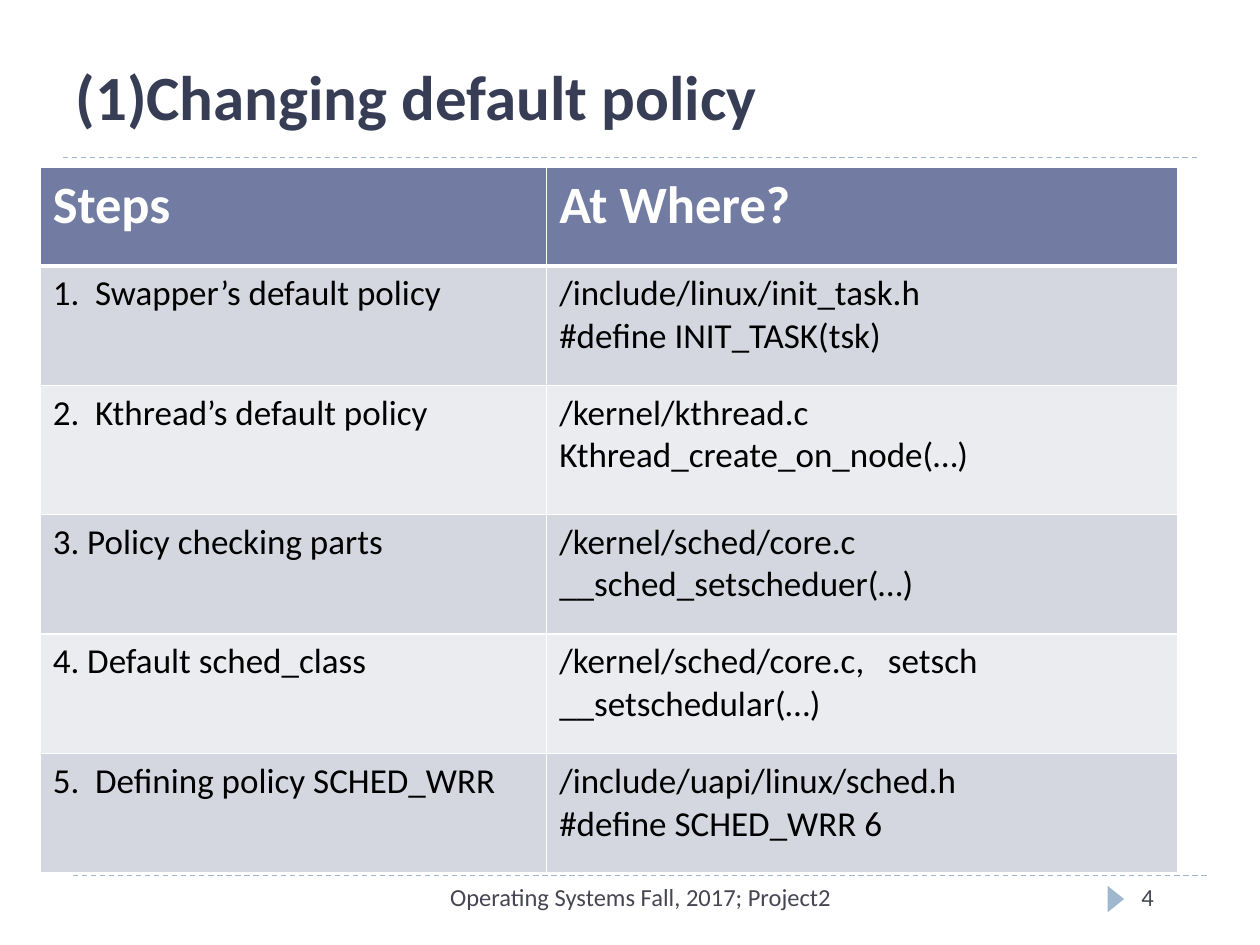
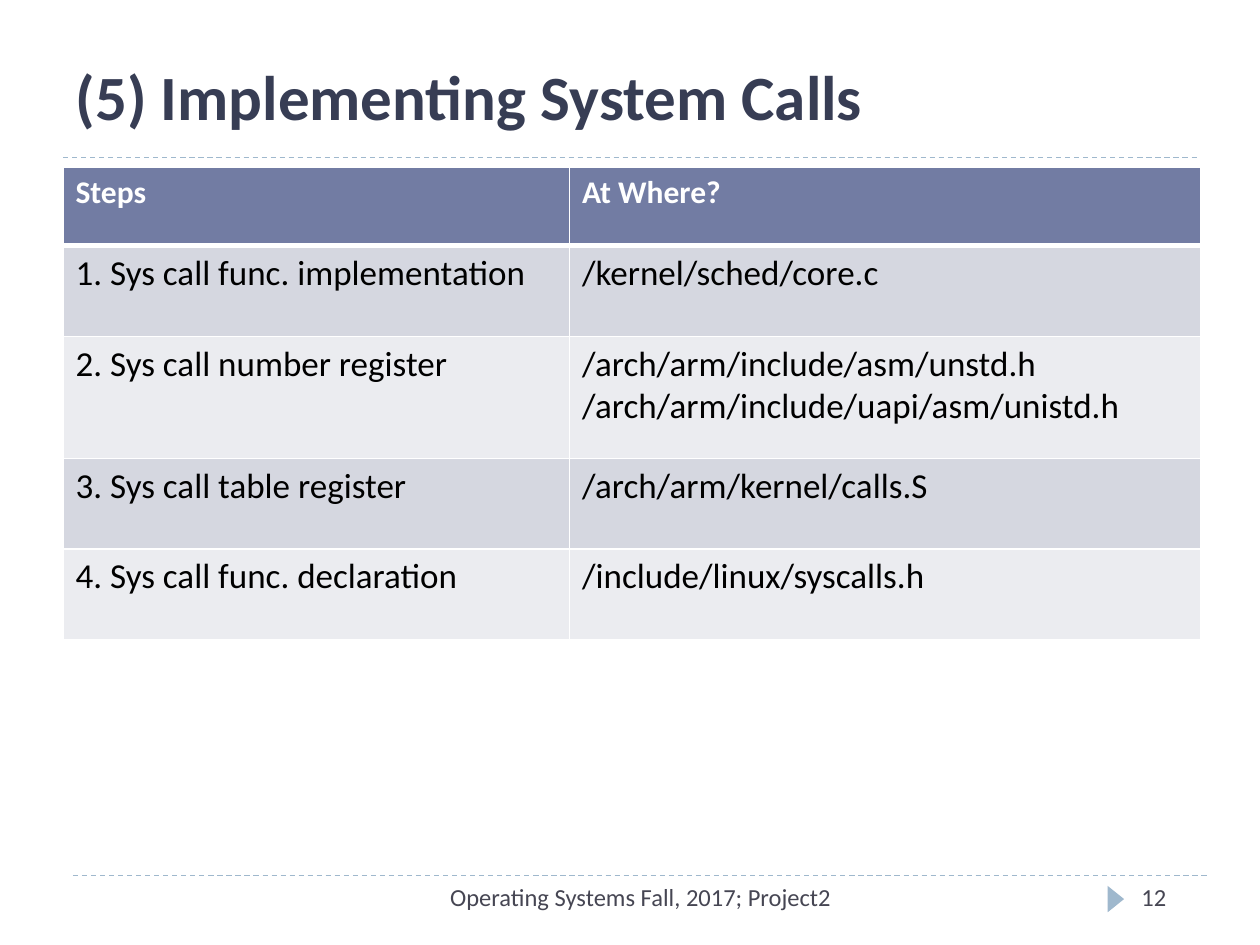
from dataclasses import dataclass

from lxml.etree import SubElement
from pptx import Presentation
from pptx.dml.color import RGBColor
from pptx.enum.dml import MSO_LINE
from pptx.enum.shapes import MSO_CONNECTOR, MSO_SHAPE
from pptx.enum.text import MSO_ANCHOR, MSO_AUTO_SIZE, PP_ALIGN
from pptx.oxml.ns import qn
from pptx.slide import Slide
from pptx.table import _Cell
from pptx.text.text import TextFrame
from pptx.util import Cm, Pt

HUES = {
    "title": "373D54",
    "foot": "464653",
    "rule": "9FB8CD",
    "head": "727CA3",
    "odd": "D5D7E0",
    "even": "EBECF0",
    "white": "FFFFFF",
    "black": "000000",
}
FONT = "Calibri"
FOOTER = "Operating Systems Fall, 2017; Project2"
HEADS = ("Steps", "At Where?")
WIDTHS = (10.21, 12.73)
TOP = 3.38


@dataclass(frozen=True)
class Style:
    size: int
    hue: str
    bold: bool = False
    align: PP_ALIGN = PP_ALIGN.LEFT


@dataclass(frozen=True)
class Box:
    left: float
    top: float
    width: float
    height: float

    def place(self) -> tuple[Cm, Cm, Cm, Cm]:
        return Cm(self.left), Cm(self.top), Cm(self.width), Cm(self.height)


@dataclass(frozen=True)
class Step:
    task: str
    where: tuple[str, ...]
    height: float


@dataclass(frozen=True)
class Page:
    title: str
    number: int
    left: float
    head_size: int
    head_height: float
    steps: tuple[Step, ...]


TITLE = Style(36, "title", True)
NOTE = Style(14, "foot")
NOTE_MID = Style(14, "foot", align=PP_ALIGN.CENTER)
BODY = Style(20, "black")
RULES = ((1.27, 3.18), (1.47, 17.65))
RULE_WIDTH = 22.86

PAGES = (
    Page("(1)Changing default policy", 4, 0.81, 30, 1.98, (
        Step("1.  Swapper’s default policy",
             ("/include/linux/init_task.h", "#define INIT_TASK(tsk)"), 2.41),
        Step("2.  Kthread’s default policy",
             ("/kernel/kthread.c", "Kthread_create_on_node(…)"), 2.6),
        Step("3. Policy checking parts",
             ("/kernel/sched/core.c", "__sched_setscheduer(…)"), 2.41),
        Step("4. Default sched_class",
             ("/kernel/sched/core.c,   setsch", "__setschedular(…)"), 2.41),
        Step("5.  Defining policy SCHED_WRR",
             ("/include/uapi/linux/sched.h", "#define SCHED_WRR 6"), 2.41),
    )),
    Page("(5) Implementing System Calls", 12, 1.27, 18, 1.57, (
        Step("1. Sys call func. implementation", ("/kernel/sched/core.c",), 1.83),
        Step("2. Sys call number register",
             ("/arch/arm/include/asm/unstd.h", "/arch/arm/include/uapi/asm/unistd.h"), 2.46),
        Step("3. Sys call table register", ("/arch/arm/kernel/calls.S",), 1.83),
        Step("4. Sys call func. declaration", ("/include/linux/syscalls.h",), 1.83),
    )),
)


def color(hue: str) -> RGBColor:
    return RGBColor.from_string(HUES[hue])


def write(frame: TextFrame, lines: tuple[str, ...], style: Style) -> None:
    for i, line in enumerate(lines):
        para = frame.add_paragraph() if i else frame.paragraphs[0]
        para.alignment = style.align
        run = para.add_run()
        run.text = line
        font = run.font
        font.name, font.size, font.bold = FONT, Pt(style.size), style.bold
        font.color.rgb = color(style.hue)


def add_text(slide: Slide, box: Box, text: str, style: Style) -> None:
    frame = slide.shapes.add_textbox(*box.place()).text_frame
    frame.word_wrap = True
    write(frame, (text,), style)


def add_title(slide: Slide, text: str) -> None:
    title = slide.shapes.title
    title.left, title.top, title.width, title.height = Box(1.27, 1.02, 22.86, 1.8).place()
    frame = title.text_frame
    frame.auto_size = MSO_AUTO_SIZE.NONE
    frame.vertical_anchor = MSO_ANCHOR.BOTTOM
    write(frame, (text,), TITLE)


def add_rule(slide: Slide, left: float, top: float) -> None:
    rule = slide.shapes.add_connector(
        MSO_CONNECTOR.STRAIGHT, Cm(left), Cm(top), Cm(left + RULE_WIDTH), Cm(top))
    rule.line.color.rgb = color("rule")
    rule.line.width = Pt(0.75)
    rule.line.dash_style = MSO_LINE.DASH
    SubElement(rule._element.spPr, qn("a:effectLst"))


def add_frame(slide: Slide, number: int) -> None:
    for left, top in RULES:
        add_rule(slide, left, top)
    mark = slide.shapes.add_shape(
        MSO_SHAPE.ISOSCELES_TRIANGLE, *Box(22.23, 17.96, 0.53, 0.33).place())
    mark.rotation = 90
    mark.shadow.inherit = False
    mark.fill.solid()
    mark.fill.fore_color.rgb = color("rule")
    mark.line.fill.background()
    add_text(slide, Box(8.05, 17.65, 9.73, 1.02), FOOTER, NOTE_MID)
    add_text(slide, Box(22.76, 17.65, 1.9, 1.02), str(number), NOTE)


def fill_cell(cell: _Cell, lines: tuple[str, ...], style: Style, hue: str, base: int) -> None:
    write(cell.text_frame, lines, style)
    props = cell._tc.get_or_add_tcPr()
    for side, width in zip("LRTB", (1, 1, 1, base)):
        edge = SubElement(props, qn(f"a:ln{side}"), w=str(Pt(width)))
        paint = SubElement(edge, qn("a:solidFill"))
        SubElement(paint, qn("a:srgbClr"), val=HUES["white"])
    cell.fill.solid()
    cell.fill.fore_color.rgb = color(hue)


def add_steps(slide: Slide, page: Page) -> None:
    heights = [page.head_height, *(step.height for step in page.steps)]
    box = Box(page.left, TOP, sum(WIDTHS), sum(heights))
    table = slide.shapes.add_table(len(heights), len(WIDTHS), *box.place()).table
    for col, width in zip(table.columns, WIDTHS):
        col.width = Cm(width)
    for row, height in zip(table.rows, heights):
        row.height = Cm(height)
    head = Style(page.head_size, "white", True)
    for cell, text in zip(table.rows[0].cells, HEADS):
        fill_cell(cell, (text,), head, "head", 3)
    for i, step in enumerate(page.steps, 1):
        hue = "odd" if i % 2 else "even"
        for cell, lines in zip(table.rows[i].cells, ((step.task,), step.where)):
            top = cell
            fill_cell(top, lines, BODY, hue, 1)
    for cell in table.rows[1].cells:
        cell._tc.tcPr.find(qn("a:lnT")).set("w", str(Pt(3)))


def main() -> None:
    """Build the two step-table slides and save them."""
    deck = Presentation()
    deck.slide_width, deck.slide_height = Cm(25.4), Cm(19.05)
    for page in PAGES:
        slide = deck.slides.add_slide(deck.slide_layouts[5])
        add_frame(slide, page.number)
        add_title(slide, page.title)
        add_steps(slide, page)
    deck.save("out.pptx")


if __name__ == "__main__":
    main()
